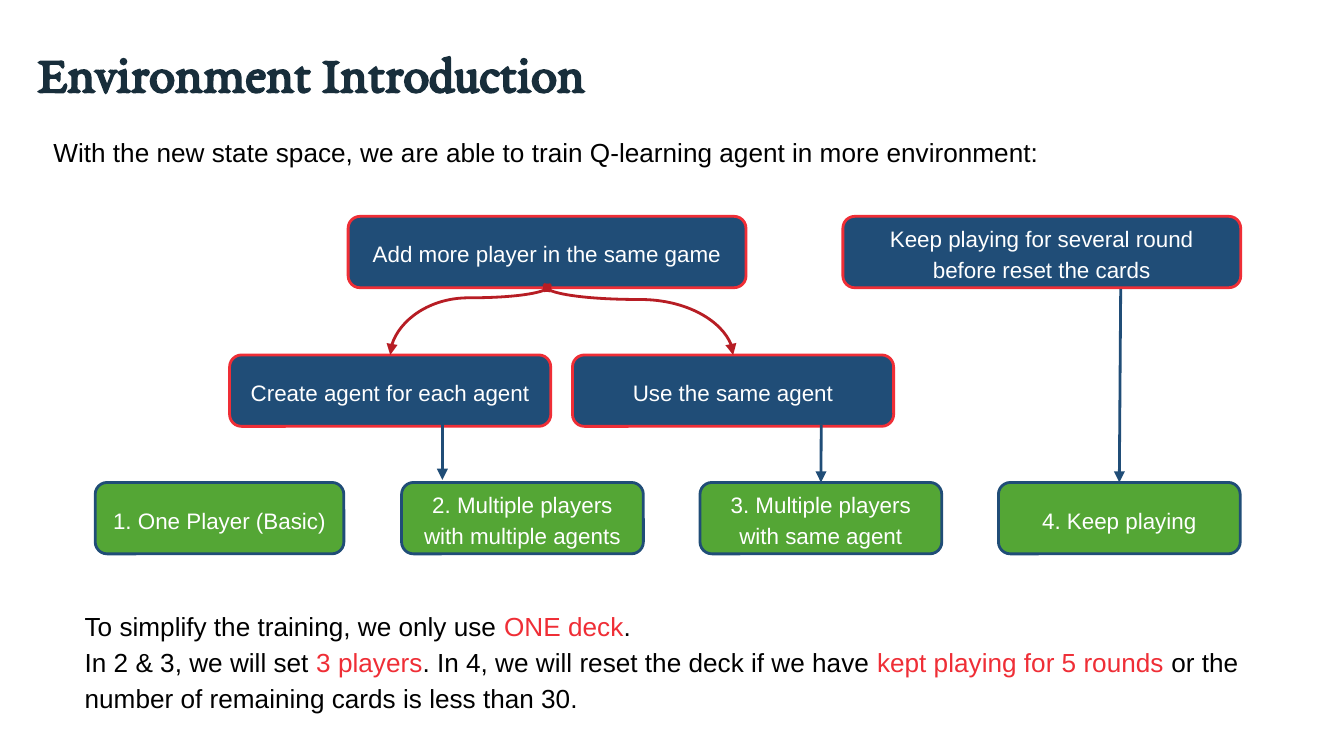
from lxml.etree import SubElement
from pptx import Presentation
from pptx.dml.color import RGBColor
from pptx.enum.shapes import MSO_CONNECTOR as Line, MSO_SHAPE as Shape
from pptx.enum.text import MSO_ANCHOR as Anchor, PP_ALIGN as Align
from pptx.oxml.ns import qn
from pptx.util import Cm, Pt

COLORS = {"ink": "182E3B", "black": "000000", "white": "FFFFFF", "navy": "204D77",
          "red": "EF2E36", "dark_red": "B71D24", "green": "54A635"}
BOX_HEIGHT = 1.35
IDEA_TOP, AGENT_TOP, CASE_TOP = 4.09, 6.71, 9.12


def color(name):
    return RGBColor.from_string(COLORS[name])


class Page:
    """Slide being built, with the style shared by its elements."""

    font = "Arial"
    title_font = "EB Garamond"
    spacing = 1.15
    stroke = Pt(1.5)
    inset = Cm(0.25)

    def __init__(self, deck):
        self.shapes = deck.slides.add_slide(deck.slide_layouts[6]).shapes

    def style(self, span, size, tone, name=None, bold=None):
        font = span.font
        font.name = name or self.font
        font.size = Pt(size)
        font.bold = bold
        font.color.rgb = color(tone)

    def frame(self, shape, anchor):
        frame = shape.text_frame
        frame.word_wrap = True
        frame.vertical_anchor = anchor
        frame.margin_left = frame.margin_right = self.inset
        frame.margin_top = frame.margin_bottom = self.inset
        return frame

    def text_box(self, left, top, width, height):
        box = self.shapes.add_textbox(Cm(left), Cm(top), Cm(width), Cm(height))
        return self.frame(box, Anchor.TOP)

    def title(self, text, *place):
        frame = self.text_box(*place)
        frame.text = text
        self.style(frame.paragraphs[0].runs[0], 28, "ink", self.title_font, True)

    def body(self, lines, *place):
        frame = self.text_box(*place)
        for index, line in enumerate(lines):
            para = frame.add_paragraph() if index else frame.paragraphs[0]
            para.line_spacing = self.spacing
            for text, tone in line:
                span = para.add_run()
                span.text = text
                self.style(span, 14, tone)

    def box(self, text, left, top, width, fill, edge):
        box = self.shapes.add_shape(Shape.ROUNDED_RECTANGLE, Cm(left), Cm(top),
                                    Cm(width), Cm(BOX_HEIGHT))
        box.shadow.inherit = False
        box.fill.solid()
        box.fill.fore_color.rgb = color(fill)
        box.line.color.rgb = color(edge)
        box.line.width = self.stroke
        frame = self.frame(box, Anchor.MIDDLE)
        frame.text = text
        para = frame.paragraphs[0]
        para.alignment = Align.CENTER
        para.line_spacing = self.spacing
        self.style(para.runs[0], 12, "white")
        return box

    def connector(self, kind, tone, start, end, head=None):
        link = self.shapes.add_connector(kind, *(Cm(value) for value in start + end))
        link.line.color.rgb = color(tone)
        link.line.width = self.stroke
        line = link.line._get_or_add_ln()
        if head:
            SubElement(line, qn("a:headEnd"), type=head)
        SubElement(line, qn("a:tailEnd"), type="triangle")
        SubElement(link._element.spPr, qn("a:effectLst"))
        return link

    def arrow(self, start, end, target=None):
        link = self.connector(Line.STRAIGHT, "navy", start, end)
        if target is not None:
            link.end_connect(target, 0)

    def branch(self, parent, child, bend):
        link = self.connector(Line.CURVE, "dark_red", (0, 0), (1, 1), "diamond")
        link.begin_connect(parent, 2)
        link.end_connect(child, 0)
        start_x, end_x = (box.left + box.width // 2 for box in (parent, child))
        start_y, end_y = parent.top + parent.height, child.top
        width, height = end_y - start_y, abs(end_x - start_x)
        link.left = (start_x + end_x - width) // 2
        link.top = (start_y + end_y - height) // 2
        link.width, link.height = width, height
        leftward = end_x < start_x
        frame = link._element.spPr.find(qn("a:xfrm"))
        frame.set("rot", str((90 if leftward else 270) * 60000))
        frame.set("flipH", "0" if leftward else "1")
        guides = link._element.spPr.find(qn("a:prstGeom")).find(qn("a:avLst"))
        SubElement(guides, qn("a:gd"), name="adj1", fmla=f"val {bend}")


def main():
    deck = Presentation()
    deck.slide_width, deck.slide_height = Cm(25.4), Cm(14.29)
    page = Page(deck)

    page.title("Environment Introduction", 0.46, 0.51, 21.41, 1.6)
    page.body([[("With the new state space, we are able to train Q-learning agent "
                 "in more environment:", "black")]], 0.76, 2.24, 22.33, 1.12)

    more_players, _ = [
        page.box(text, left, IDEA_TOP, 7.52, "navy", "red") for text, left in (
            ("Add more player in the same game", 6.58),
            ("Keep playing for several round before reset the cards", 15.93))]
    agents = [
        page.box(text, left, AGENT_TOP, 6.07, "navy", "red") for text, left in (
            ("Create agent for each agent", 4.34), ("Use the same agent", 10.82))]
    for agent, bend in zip(agents, (15000, 17500)):
        page.branch(more_players, agent, bend)

    page.box("1. One Player (Basic)", 1.8, CASE_TOP, 4.7, "green", "navy")
    _, same_agent, keep_playing = [
        page.box(text, 7.59 + 5.64 * index, CASE_TOP, 4.57, "green", "navy")
        for index, text in enumerate(("2. Multiple players with multiple agents",
                                      "3. Multiple players with same agent",
                                      "4. Keep playing"))]

    page.arrow((21.18, 5.46), (21.16, CASE_TOP), keep_playing)
    page.arrow((15.52, 8.03), (15.52, CASE_TOP), same_agent)
    page.arrow((8.36, 8), (8.36, 9.07))

    page.body([
        [("To simplify the training, we only use ", "black"), ("ONE deck", "red"),
         (".", "black")],
        [("In 2 & 3, we will set ", "black"), ("3 players", "red"),
         (". In 4, we will reset the deck if we have ", "black"),
         ("kept playing for 5 rounds", "red"),
         (" or the number of remaining cards is less than 30.", "black")],
    ], 1.35, 11.2, 22.33, 2.49)

    deck.save("out.pptx")


if __name__ == "__main__":
    main()
